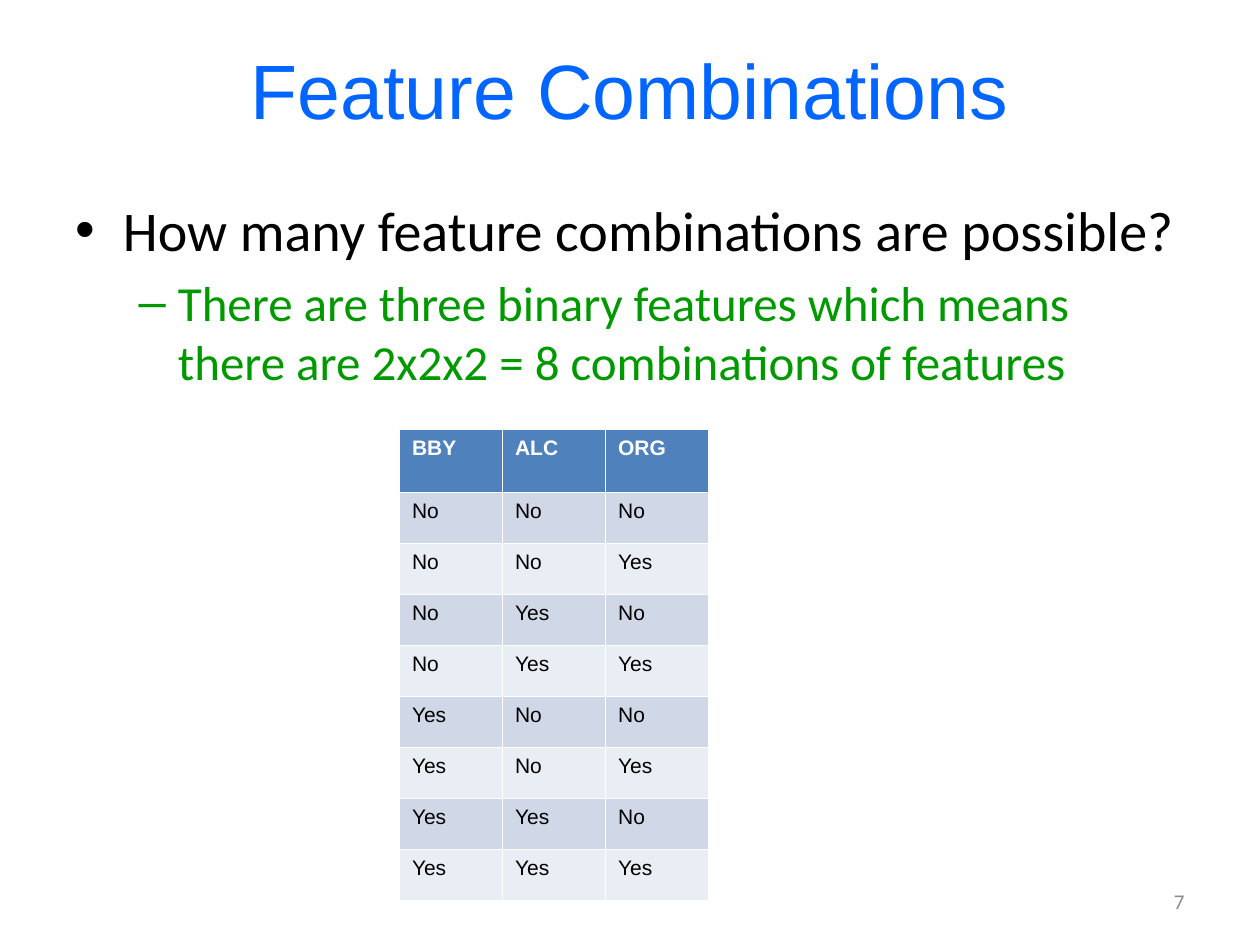
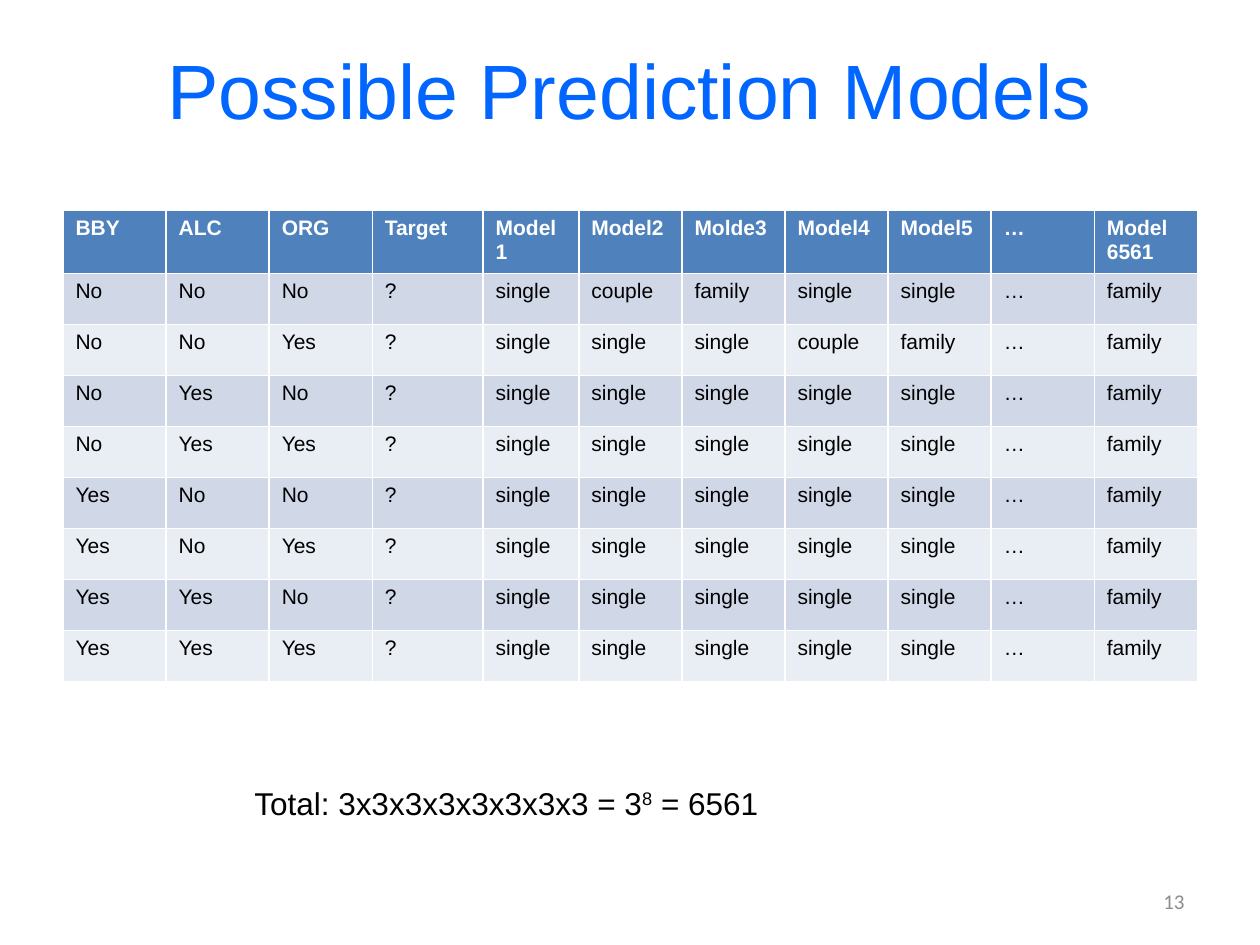
from itertools import product

from pptx import Presentation
from pptx.dml.color import RGBColor
from pptx.enum.text import MSO_ANCHOR, MSO_AUTO_SIZE, PP_ALIGN
from pptx.util import Inches, Pt

MIDDLE = MSO_ANCHOR.MIDDLE
GROW = MSO_AUTO_SIZE.SHAPE_TO_FIT_TEXT
LEFT, CENTER, RIGHT = PP_ALIGN.LEFT, PP_ALIGN.CENTER, PP_ALIGN.RIGHT

COLORS = {
    "title": "0066FF",
    "text": "000000",
    "answer": "009900",
    "page": "8C8C8C",
    "head": "4F81BD",
    "white": "FFFFFF",
    "odd": "D0D8E8",
    "even": "E9EDF4",
}
TITLE_ONLY, LIST = 5, 1
COL = 9 / 11
HEAD_ROW, ROW = 0.5, 0.405


def color(name):
    return RGBColor.from_string(COLORS[name])


class Deck:
    def __init__(self):
        self.prs = Presentation()
        self.prs.slide_width = Inches(10)
        self.prs.slide_height = Inches(7.5)
        self.slide = None

    def place(self, shape, *box):
        shape.left, shape.top, shape.width, shape.height = map(Inches, box)

    def style(self, para, size, tint, face="Arial", bold=False):
        for run in para.runs:
            font = run.font
            font.size, font.name, font.bold = Pt(size), face, bold
            font.color.rgb = color(tint)

    def start(self, layout, title, page):
        self.slide = self.prs.slides.add_slide(self.prs.slide_layouts[layout])
        head = self.slide.shapes.title
        self.place(head, 0.5, 0.08, 9, 1.25)
        frame = head.text_frame
        frame.text = title
        frame.vertical_anchor = MIDDLE
        frame.paragraphs[0].alignment = CENTER
        self.style(frame.paragraphs[0], 44, "title")
        self.number(page)

    def number(self, page):
        frame = self.box(7.17, 6.95, 2.33, 0.4)
        frame.word_wrap = True
        frame.vertical_anchor = MIDDLE
        para = frame.paragraphs[0]
        para.text = str(page)
        para.alignment = RIGHT
        self.style(para, 12, "page", "Calibri")

    def box(self, *box):
        return self.slide.shapes.add_textbox(*map(Inches, box)).text_frame

    def bullets(self, items):
        body = self.slide.placeholders[1]
        self.place(body, 0.5, 1.5, 9, 5.67)
        frame = body.text_frame
        frame.text = "\n".join(text for text, *_ in items)
        for para, (_, level, size, tint) in zip(frame.paragraphs, items):
            para.level = level
            self.style(para, size, tint, "Calibri")
        frame.paragraphs[0].space_before = Pt(0)

    def table(self, left, top, widths, rows):
        heights = [HEAD_ROW] + [ROW] * (len(rows) - 1)
        area = map(Inches, (left, top, sum(widths), sum(heights)))
        grid = self.slide.shapes.add_table(len(rows), len(widths), *area).table
        for col, width in zip(grid.columns, widths):
            col.width = Inches(width)
        for r, (line, height) in enumerate(zip(rows, heights)):
            grid.rows[r].height = Inches(height)
            fill = "head" if r == 0 else "odd" if r % 2 else "even"
            for c, text in enumerate(line):
                cell = grid.cell(r, c)
                cell.fill.solid()
                cell.fill.fore_color.rgb = color(fill)
                cell.text_frame.text = text
                for para in cell.text_frame.paragraphs:
                    self.style(para, 12, "text" if r else "white", bold=r == 0)

    def power(self, lead, raised, tail):
        frame = self.box(1.92, 6.17, 4.3, 0.4)
        frame.word_wrap = False
        frame.auto_size = GROW
        para = frame.paragraphs[0]
        para.alignment = LEFT
        for text in (lead, raised, tail):
            para.add_run().text = text
        self.style(para, 18, "text")
        para.runs[1].font._element.set("baseline", "30000")


def main():
    deck = Deck()
    names = ["BBY", "ALC", "ORG"]
    combos = [list(combo) for combo in product(["No", "Yes"], repeat=3)]

    deck.start(LIST, "Feature Combinations", 7)
    deck.bullets([
        ("How many feature combinations are possible?", 0, 32, "text"),
        ("There are three binary features which means there are "
         "2x2x2 = 8 combinations of features", 1, 28, "answer"),
    ])
    deck.table(3.17, 3.41, [COL] * 3, [names] + combos)

    deck.start(TITLE_ONLY, "Possible Prediction Models", 13)
    models = ["Model1", "Model2", "Molde3", "Model4", "Model5"]
    heads = names + ["Target"] + models + ["…", "Model\n6561"]
    guesses = [["single"] * len(models) for _ in combos]
    guesses[0][1:3] = guesses[1][3:5] = ["couple", "family"]
    rows = [combo + ["?"] + guess + ["…", "family"]
            for combo, guess in zip(combos, guesses)]
    widths = [COL] * 3 + [0.88, 0.76] + [COL] * 6
    deck.table(0.5, 1.67, widths, [heads] + rows)
    deck.power("Total: 3x3x3x3x3x3x3x3 = 3", "8", " = 6561")

    deck.prs.save("out.pptx")


if __name__ == "__main__":
    main()
